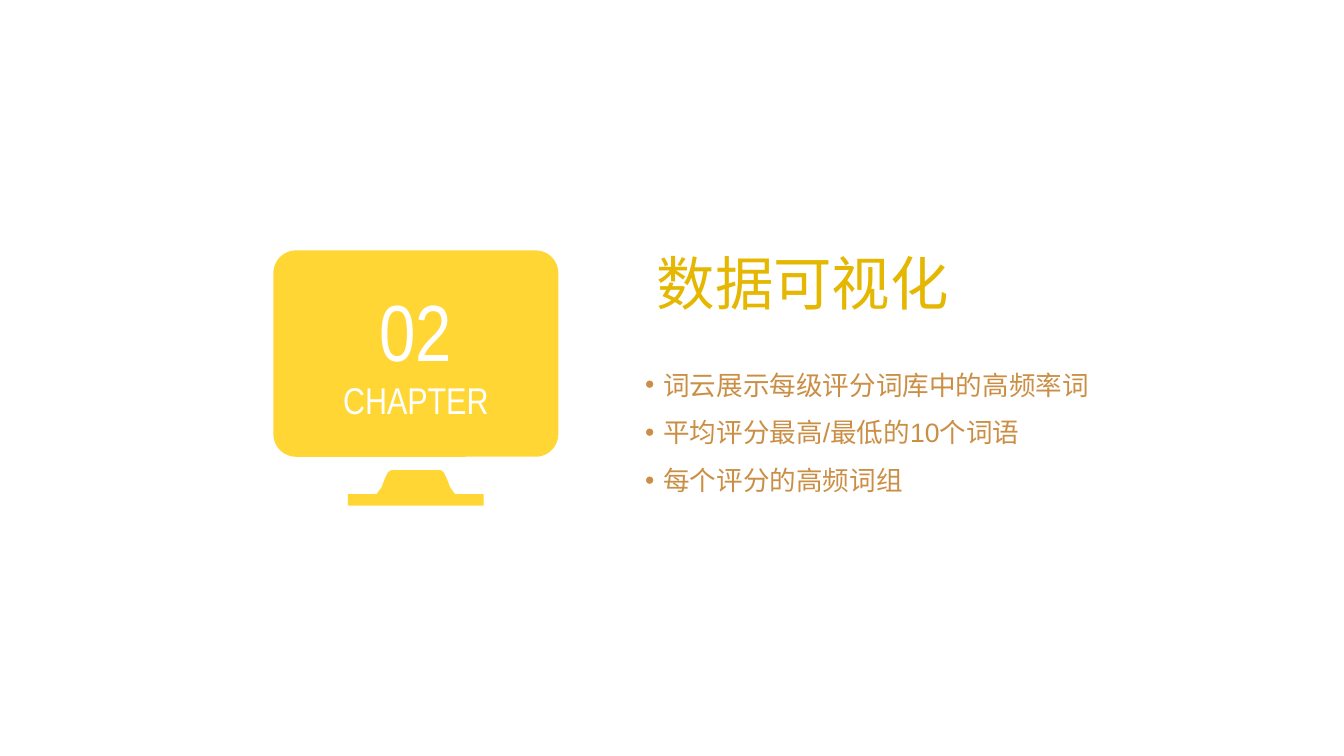
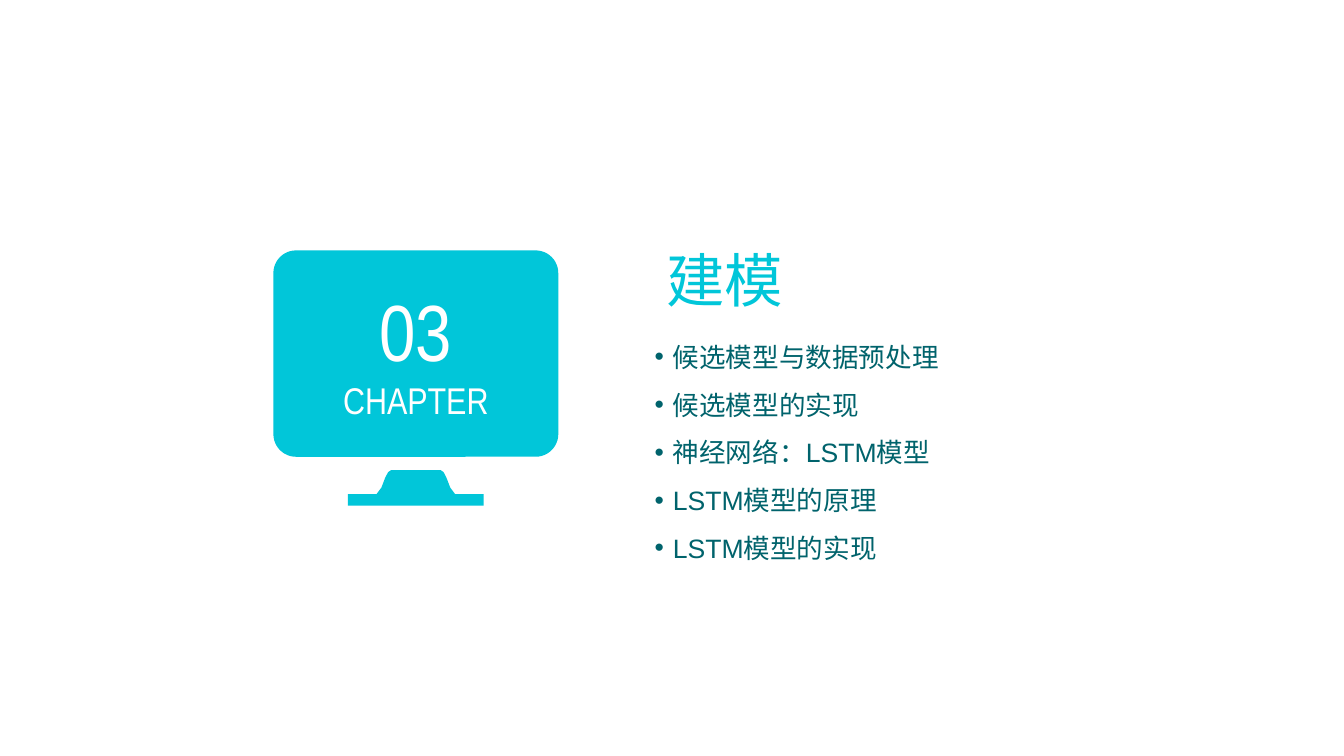
from lxml import etree
from pptx import Presentation
from pptx.dml.color import RGBColor
from pptx.enum.shapes import MSO_SHAPE
from pptx.enum.text import MSO_ANCHOR, PP_ALIGN
from pptx.oxml.ns import qn
from pptx.util import Inches, Pt

ROUNDED = MSO_SHAPE.ROUNDED_RECTANGLE
TOP, MIDDLE = MSO_ANCHOR.TOP, MSO_ANCHOR.MIDDLE
LEFT, CENTER = PP_ALIGN.LEFT, PP_ALIGN.CENTER

SLIDE_WIDTH, SLIDE_HEIGHT = Inches(14.06), Inches(7.91)
BLANK_LAYOUT = 6

WHITE = RGBColor(0xFF, 0xFF, 0xFF)
YELLOW = RGBColor(0xFF, 0xD6, 0x33)
GOLD = RGBColor(0xE5, 0xB7, 0x00)
OCHRE = RGBColor(0xCA, 0x8F, 0x45)
CYAN = RGBColor(0x01, 0xC6, 0xD9)
TEAL = RGBColor(0x00, 0x63, 0x6C)

# Positions are percentages of the slide's width and height.
SCREEN = (20.34, 33.12, 21.2, 27.3)
SCREEN_CENTER = SCREEN[0] + SCREEN[2] / 2
LABEL_WIDTH = 13.3
BODY_OUTDENT = 1.56
BULLET_INDENT = Inches(0.19)
INSET = Inches(0.1)

# Right half of the stand: distance from the centre, height on the slide.
STAND_PROFILE = [(1.85, 62.2), (2.06, 62.45), (2.28, 63.2), (2.56, 64.5),
                 (2.92, 65.36), (5.05, 65.36), (5.05, 66.88)]

CHAPTERS = [
    dict(number="02", title="数据可视化", title_at=(48.86, 32.62),
         body_top=46.02, body_size=(35, 25),
         colors=(YELLOW, GOLD, OCHRE),
         points=["词云展示每级评分词库中的高频率词",
                 "平均评分最高/最低的10个词语",
                 "每个评分的高频词组"]),
    dict(number="03", title="建模", title_at=(49.57, 32.24),
         body_top=42.35, body_size=(22.76, 33.25),
         colors=(CYAN, CYAN, TEAL),
         points=["候选模型与数据预处理",
                 "候选模型的实现",
                 "神经网络：LSTM模型",
                 "LSTM模型的原理",
                 "LSTM模型的实现"]),
]


def across(share):
    return round(SLIDE_WIDTH * share / 100)


def down(share):
    return round(SLIDE_HEIGHT * share / 100)


def place(left, top, width, height):
    return across(left), down(top), across(width), down(height)


def paint(shape, color):
    shape.shadow.inherit = False
    shape.fill.solid()
    shape.fill.fore_color.rgb = color
    shape.line.fill.background()


def add_bullet(paragraph):
    properties = paragraph._p.get_or_add_pPr()
    properties.set("marL", str(BULLET_INDENT))
    properties.set("indent", str(-BULLET_INDENT))
    etree.SubElement(properties, qn("a:buFont"), typeface="Arial")
    etree.SubElement(properties, qn("a:buChar"), char="•")


def add_text(slide, box, lines, color, font="Arial", align=LEFT, anchor=TOP,
             inset=0, spacing=1.0, bullets=False):
    """Add a text box; lines holds one (text, size) pair per paragraph."""
    frame = slide.shapes.add_textbox(*place(*box)).text_frame
    frame.word_wrap = True
    frame.vertical_anchor = anchor
    frame.margin_left = frame.margin_right = inset
    frame.margin_top = frame.margin_bottom = inset // 2
    for index, (text, size) in enumerate(lines):
        paragraph = frame.add_paragraph() if index else frame.paragraphs[0]
        paragraph.alignment = align
        paragraph.line_spacing = spacing
        if bullets:
            add_bullet(paragraph)
        run = paragraph.add_run()
        run.text = text
        run.font.size = Pt(size)
        run.font.name = font
        run.font.color.rgb = color


def add_monitor(slide, number, color):
    screen = slide.shapes.add_shape(ROUNDED, *place(*SCREEN))
    screen.adjustments[0] = 0.11
    paint(screen, color)

    right = [(SCREEN_CENTER + offset, y) for offset, y in STAND_PROFILE]
    left = [(SCREEN_CENTER - offset, y) for offset, y in STAND_PROFILE]
    start, *others = [(across(x), down(y)) for x, y in right + left[::-1]]
    builder = slide.shapes.build_freeform(*start)
    builder.add_line_segments(others, close=True)
    paint(builder.convert_to_shape(), color)

    label = (SCREEN_CENTER - LABEL_WIDTH / 2, 37.17, LABEL_WIDTH, 18.71)
    add_text(slide, label, [(number, 60), ("CHAPTER", 28)], WHITE,
             font="Arial Narrow", align=CENTER, anchor=MIDDLE)


def add_chapter(presentation, number, title, title_at, body_top, body_size,
                colors, points):
    slide = presentation.slides.add_slide(
        presentation.slide_layouts[BLANK_LAYOUT])
    monitor_color, title_color, body_color = colors
    add_monitor(slide, number, monitor_color)
    add_text(slide, (*title_at, 26.24, 9.36), [(title, 44)], title_color)
    body = (title_at[0] - BODY_OUTDENT, body_top, *body_size)
    add_text(slide, body, [(point, 20) for point in points], body_color,
             inset=INSET, spacing=1.5, bullets=True)


def main():
    presentation = Presentation()
    presentation.slide_width = SLIDE_WIDTH
    presentation.slide_height = SLIDE_HEIGHT
    for chapter in CHAPTERS:
        add_chapter(presentation, **chapter)
    presentation.save("out.pptx")


if __name__ == "__main__":
    main()
